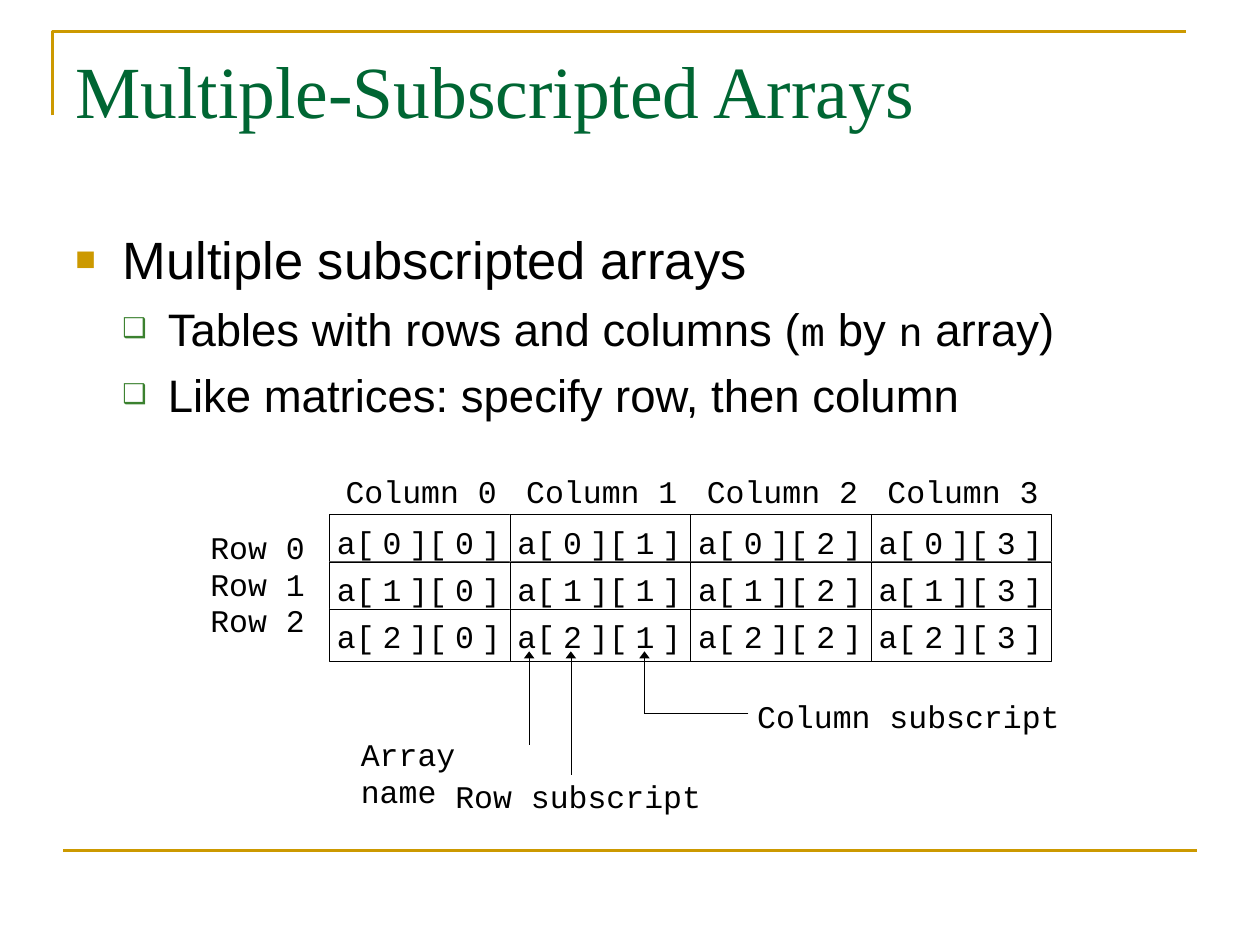
from dataclasses import dataclass
from itertools import accumulate

from lxml import etree
from pptx import Presentation
from pptx import util as u
from pptx.dml import color
from pptx.enum import shapes, text
from pptx.oxml import ns

Pt = u.Pt


@dataclass(frozen=True)
class Theme:
    gold: str = "CC9900"
    green: str = "006633"
    leaf: str = "3B812F"
    ink: str = "000000"
    paper: str = "FFFFFF"
    serif: str = "Times New Roman"
    sans: str = "Arial"
    mono: str = "Courier New"
    title: float = 42
    level_one: float = 30
    level_two: float = 26
    inline_code: float = 23
    code: float = 18
    rule: float = 1.5
    hairline: float = 0.25


THEME = Theme()
COLUMN_WIDTH = 103.2
ROW_HEIGHTS = (27.2, 26.9, 30)
GRID_LEFT, GRID_TOP = 188.2, 293.8
COLUMNS = 4


def rgb(value):
    return color.RGBColor.from_string(value)


def apply(target, values):
    for name, value in values.items():
        setattr(target, name, value)


def add_xml(parent, tag, **attributes):
    return etree.SubElement(parent, ns.qn(tag), attributes)


def add_run(paragraph, words, font, size, ink=THEME.ink):
    run = paragraph.add_run()
    run.text = words
    apply(run.font, {"name": font, "size": Pt(size)})
    run.font.color.rgb = rgb(ink)


def format_frame(frame, side=0, edge=0):
    apply(frame, {
        "word_wrap": True,
        "vertical_anchor": text.MSO_ANCHOR.TOP,
        "margin_left": Pt(side), "margin_right": Pt(side),
        "margin_top": Pt(edge), "margin_bottom": Pt(0),
    })
    return frame


def add_text_frame(slide, left, top, width, height, side=0, edge=0):
    shape = slide.shapes.add_textbox(Pt(left), Pt(top), Pt(width), Pt(height))
    return format_frame(shape.text_frame, side, edge)


def add_label(slide, words, left, top, width):
    paragraph = add_text_frame(slide, left, top, width, 14.4).paragraphs[0]
    add_run(paragraph, words, THEME.mono, THEME.code)


def add_bullet(paragraph, symbol, ink, percent, indent, hanging):
    properties = paragraph._p.get_or_add_pPr()
    properties.set("marL", str(Pt(indent)))
    properties.set("indent", str(-Pt(hanging)))
    bullet_color = add_xml(properties, "a:buClr")
    add_xml(bullet_color, "a:srgbClr", val=ink)
    add_xml(properties, "a:buSzPct", val=str(percent * 1000))
    add_xml(properties, "a:buFont", typeface=THEME.sans)
    add_xml(properties, "a:buChar", char=symbol)


def add_title(slide, words):
    frame = add_text_frame(slide, 36, 22, 648, 90, 7.2, 3.6)
    add_run(frame.paragraphs[0], words, THEME.serif, THEME.title, THEME.green)


def add_body(slide):
    frame = add_text_frame(slide, 36, 126, 648, 356.4, 7.2, 3.6)
    heading = frame.paragraphs[0]
    add_bullet(heading, "■", THEME.gold, 65, 27, 27)
    add_run(heading, "Multiple subscripted arrays", THEME.sans, THEME.level_one)
    details = (
        ("Tables with rows and columns (", "m", " by ", "n", " array)"),
        ("Like matrices: specify row, then column",),
    )
    styles = ((THEME.sans, THEME.level_two), (THEME.mono, THEME.inline_code))
    for pieces in details:
        paragraph = frame.add_paragraph()
        apply(paragraph, {"level": 1, "space_before": Pt(6.5)})
        add_bullet(paragraph, "❑", THEME.leaf, 60, 52.8, 25.9)
        for index, piece in enumerate(pieces):
            add_run(paragraph, piece, *styles[index % 2])


def add_line(slide, start, end, ink, weight, arrow=False):
    points = [Pt(value) for value in (*start, *end)]
    line = slide.shapes.add_connector(shapes.MSO_CONNECTOR.STRAIGHT, *points)
    line.line.color.rgb = rgb(ink)
    line.line.width = Pt(weight)
    if arrow:
        add_xml(line.line._get_or_add_ln(), "a:headEnd",
                type="triangle", w="med", len="sm")
    add_xml(line._element.spPr, "a:effectLst")


def add_frame(slide):
    builder = slide.shapes.build_freeform(Pt(30), Pt(66))
    builder.add_line_segments([(Pt(30), Pt(18)), (Pt(678), Pt(18))], close=False)
    corner = builder.convert_to_shape()
    corner.shadow.inherit = False
    corner.fill.background()
    corner.line.color.rgb = rgb(THEME.gold)
    corner.line.width = Pt(THEME.rule)
    add_line(slide, (36, 486), (684, 486), THEME.gold, THEME.rule)


def add_cell(slide, row, column, left, top, height):
    cell = slide.shapes.add_shape(
        shapes.MSO_SHAPE.RECTANGLE,
        Pt(left), Pt(top), Pt(COLUMN_WIDTH), Pt(height))
    cell.shadow.inherit = False
    cell.fill.solid()
    cell.fill.fore_color.rgb = rgb(THEME.paper)
    cell.line.color.rgb = rgb(THEME.ink)
    cell.line.width = Pt(THEME.hairline)
    paragraph = format_frame(cell.text_frame, 4.3, 5).paragraphs[0]
    paragraph.alignment = text.PP_ALIGN.LEFT
    for index, piece in enumerate(("a[", str(row), "][", str(column), "]")):
        if index:
            add_run(paragraph, " ", THEME.serif, THEME.code)
        add_run(paragraph, piece, THEME.mono, THEME.code)


def add_array_grid(slide):
    tops = list(accumulate(ROW_HEIGHTS, initial=GRID_TOP))
    for column in range(COLUMNS):
        left = GRID_LEFT + column * COLUMN_WIDTH
        add_label(slide, f"Column {column}", left + 9.3, 270, 88)
        for row, height in enumerate(ROW_HEIGHTS):
            add_cell(slide, row, column, left, tops[row], height)
    for row in range(len(ROW_HEIGHTS)):
        add_label(slide, f"Row {row}", 120.2, 301.7 + row * 20.9, 56)


def add_callouts(slide):
    for words, left, top, width in (
        ("Row subscript", 260.2, 444.3, 174),
        ("Array name", 206.2, 419.8, 107),
        ("Column subscript", 432.7, 398.2, 200),
    ):
        add_label(slide, words, left, top, width)
    for x, bottom in ((302.4, 426), (326.2, 442.8), (368.3, 407.6)):
        add_line(slide, (x, 372.2), (x, bottom), THEME.ink, THEME.hairline, True)
    add_line(slide, (427.7, 407.6), (368.3, 407.6), THEME.ink, THEME.hairline)


def main():
    presentation = Presentation()
    apply(presentation, {"slide_width": Pt(720), "slide_height": Pt(540)})
    slide = presentation.slides.add_slide(presentation.slide_layouts[6])
    add_frame(slide)
    add_title(slide, "Multiple-Subscripted Arrays")
    add_body(slide)
    add_array_grid(slide)
    add_callouts(slide)
    presentation.save("out.pptx")


if __name__ == "__main__":
    main()
